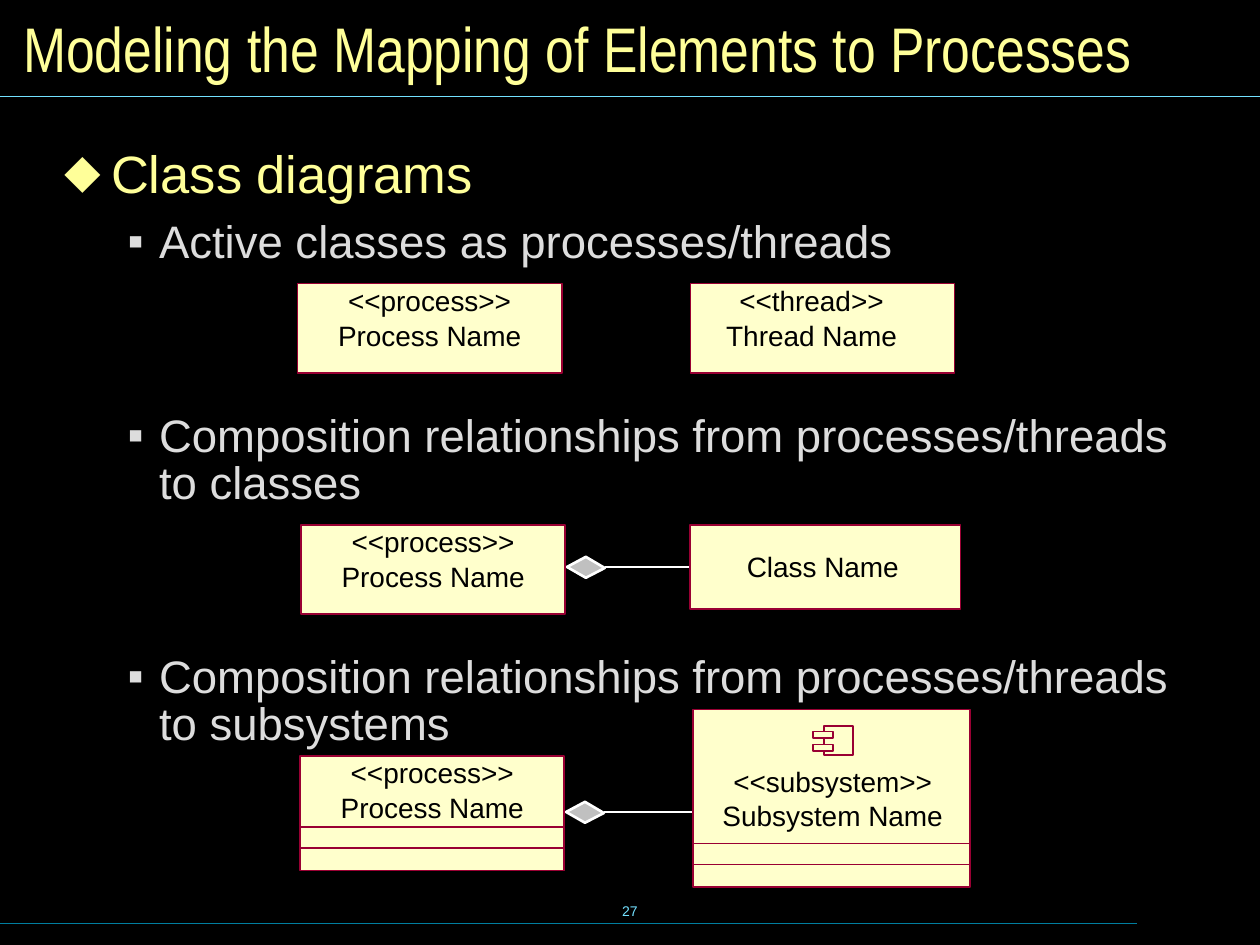
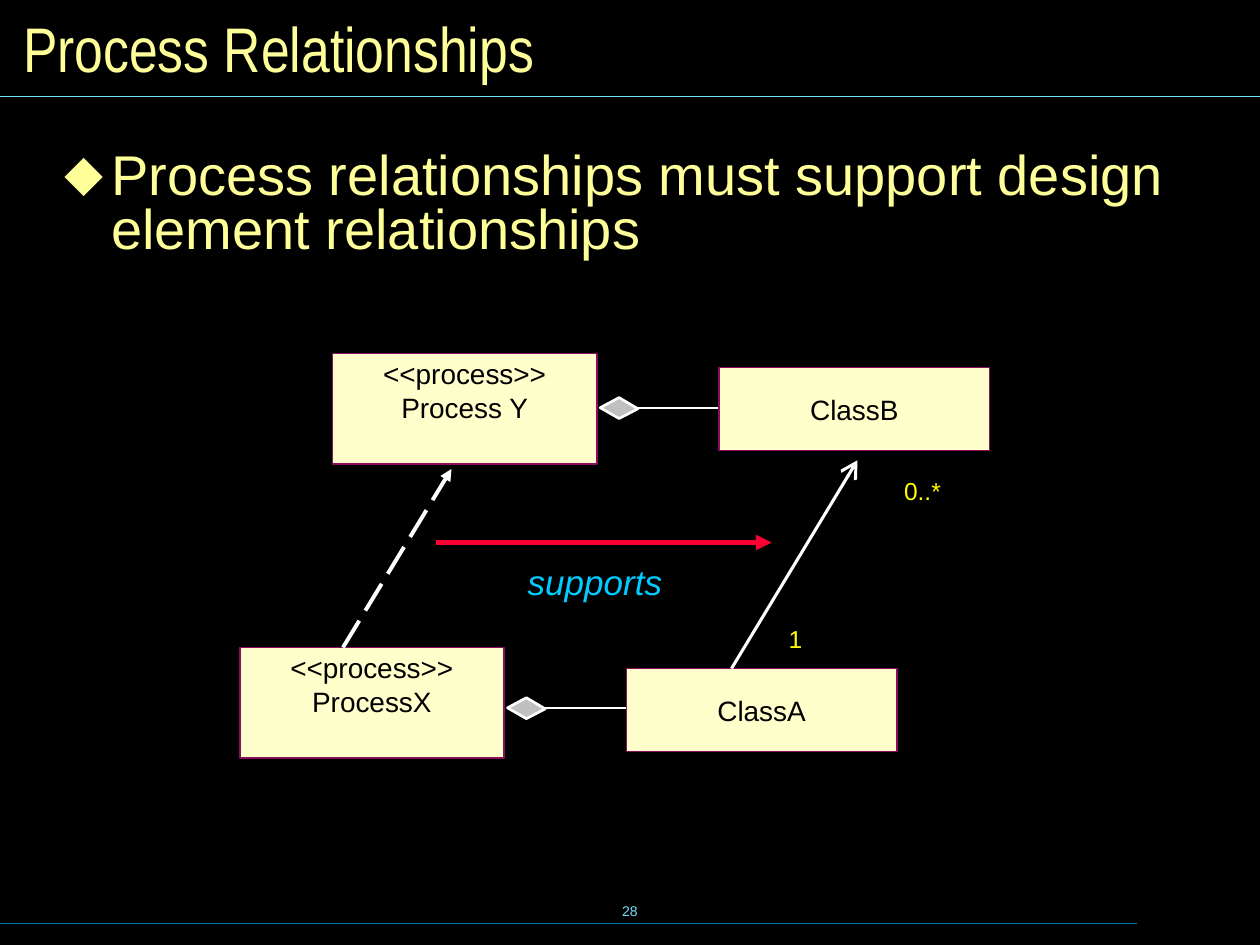
from dataclasses import dataclass

from pptx import Presentation
from pptx.dml.color import RGBColor
from pptx.enum import dml, shapes, text
from pptx.oxml.ns import qn
from pptx.util import Pt
from lxml import etree


@dataclass(frozen=True)
class Theme:
    back: str = "000000"
    title: str = "FFFF99"
    item: str = "DDDDDD"
    rule: str = "73E1FF"
    base: str = "007E9F"
    box: str = "FFFFCC"
    edge: str = "990033"
    plum: str = "8A0E5E"
    link: str = "FFFFFF"
    gem: str = "C0C0C0"
    mark: str = "FFFF00"
    note: str = "00CCFF"
    flow: str = "FF0033"
    ink: str = "000000"
    font: str = "Arial"
    narrow: str = "Arial Narrow"
    head_size: int = 36
    box_size: int = 16
    item_size: int = 26
    mark_size: int = 14
    note_size: int = 20
    page_size: int = 8


T = Theme()
LEFT, MID = text.PP_ALIGN.LEFT, text.PP_ALIGN.CENTER
TOP, HALF = text.MSO_ANCHOR.TOP, text.MSO_ANCHOR.MIDDLE


def rgb(code):
    return RGBColor.from_string(code)


def pts(values):
    return [Pt(v) for v in values]


# Text
def style(para, size, color, font=T.font, italic=False):
    para.font.size = Pt(size)
    para.font.name = font
    para.font.italic = italic
    para.font.color.rgb = rgb(color)


def write(shape, lines, size=T.box_size, color=T.ink, font=T.font, italic=False,
          align=MID, anchor=TOP, inset=(0, 0, 0, 0), gap=0, wrap=True):
    frame = shape.text_frame
    frame.word_wrap = wrap
    frame.auto_size = text.MSO_AUTO_SIZE.NONE
    frame.vertical_anchor = anchor
    (frame.margin_left, frame.margin_top,
     frame.margin_right, frame.margin_bottom) = pts(inset)
    for i, line in enumerate(lines):
        para = frame.paragraphs[0] if i == 0 else frame.add_paragraph()
        para.text = line
        para.alignment = align
        para.space_before = Pt(gap if i else 0)
        style(para, size, color, font, italic)


def label(slide, place, line, **form):
    write(slide.shapes.add_textbox(*pts(place)), [line], **form)


def bullet(para, sign, color, left, hang):
    props = para._p.get_or_add_pPr()
    props.set("marL", str(Pt(left)))
    props.set("indent", str(Pt(-hang)))
    tint = etree.SubElement(props, qn("a:buClr"))
    etree.SubElement(tint, qn("a:srgbClr"), val=color)
    etree.SubElement(props, qn("a:buFont"), typeface=T.font)
    etree.SubElement(props, qn("a:buChar"), char=sign)


def outline(slide, head, size, items=()):
    """Fill the body: one heading, then (text, space before) items."""
    body = slide.placeholders[1]
    body.left, body.top, body.width, body.height = pts((28.3, 83, 669, 397))
    write(body, [head] + [line for line, _ in items], size=size, color=T.title,
          align=LEFT, inset=(8.6, 4.3, 8.6, 4.3))
    first, *rest = body.text_frame.paragraphs
    bullet(first, "⬥", T.title, 26.6, 26.6)
    first.line_spacing = 0.8
    for para, (_, gap) in zip(rest, items):
        para.level = 1
        bullet(para, "▪", T.item, 54, 18)
        para.line_spacing = 0.87
        para.space_before = Pt(gap)
        style(para, T.item_size, T.item)


# Shapes
def paint(shape, fill, edge, width):
    shape.shadow.inherit = False
    shape.fill.solid()
    shape.fill.fore_color.rgb = rgb(fill)
    shape.line.color.rgb = rgb(edge)
    shape.line.width = Pt(width)


def box(slide, place, lines=(), edge=T.edge, **form):
    shape = slide.shapes.add_shape(shapes.MSO_SHAPE.RECTANGLE, *pts(place))
    paint(shape, T.box, edge, 1)
    if lines:
        write(shape, lines, wrap=False, **form)


def line(slide, start, end, color, width=1.0, dash=None, tip=None, span="med"):
    wire = slide.shapes.add_connector(
        shapes.MSO_CONNECTOR.STRAIGHT, *pts(start + end))
    wire.line.color.rgb = rgb(color)
    wire.line.width = Pt(width)
    if dash:
        wire.line.dash_style = dash
    props = wire._element.spPr
    if tip:
        etree.SubElement(props.find(qn("a:ln")), qn("a:tailEnd"),
                         type=tip, w=span, len=span)
    etree.SubElement(props, qn("a:effectLst"))


def rows(slide, place):
    """Draw the two compartment lines at the foot of a class box."""
    left, top, width, height = place
    for rise in (25, 13):
        y = top + height - rise
        line(slide, (left, y), (left + width, y), T.edge)


def compose(slide, left, y, right, width=1.0):
    """Draw a composition link: a diamond at the left, a line to the right."""
    line(slide, (left + 21.6, y), (right, y), T.link, width)
    gem = slide.shapes.build_freeform(Pt(left), Pt(y), scale=1)
    corners = [(10.8, -5.8), (21.6, 0.6), (10.8, 6.2)]
    gem.add_line_segments([pts((left + dx, y + dy)) for dx, dy in corners])
    paint(gem.convert_to_shape(), T.gem, T.link, 1.5)


def icon(slide, left, top):
    box(slide, (left + 6.5, top, 16.5, 16.5))
    for drop in (3, 10.5):
        box(slide, (left, top + drop, 11.5, 3.8))


# Shared frame
def start(deck, title, page):
    slide = deck.slides.add_slide(deck.slide_layouts[1])
    line(slide, (0, 527.8), (649.5, 527.8), T.base, 0.75)
    line(slide, (0, 55), (720, 55), T.rule, 0.75)
    label(slide, (246, 502.5, 228, 36), str(page), size=T.page_size,
          color=T.rule, anchor=HALF)
    head = slide.shapes.title
    head.left, head.top, head.width, head.height = pts((6, 6, 708, 42))
    write(head, [title], size=T.head_size, color=T.title, font=T.narrow,
          align=LEFT, anchor=HALF, inset=(7.2, 3.6, 7.2, 3.6))
    return slide


def mapping(deck):
    slide = start(deck, "Modeling the Mapping of Elements to Processes", 27)
    outline(slide, "Class diagrams", 30, [
        ("Active classes as processes/threads", 9.8),
        ("Composition relationships from processes/threads to classes", 83.6),
        ("Composition relationships from processes/threads to subsystems", 83.6),
    ])
    process = ["<<process>>", "Process Name"]

    # Active classes
    box(slide, (170, 162, 151, 51), process, gap=0.8)
    box(slide, (394.5, 162, 151, 51), ["<<thread>>", "Thread Name"],
        gap=0.8, inset=(0, 0, 12.5, 0))

    # Process to class
    compose(slide, 324, 324, 394.5)
    box(slide, (172, 300, 151, 51), process, gap=0.5)
    box(slide, (394.5, 300, 154.5, 48), ["Class Name"], anchor=HALF,
        inset=(0, 0, 3, 1))

    # Process to subsystem
    compose(slide, 323.5, 464, 396, 1.5)
    owner, part = (171.5, 432, 151, 65.5), (396.2, 405.5, 158.3, 101.5)
    box(slide, owner, process, gap=0.5)
    box(slide, part, ["<<subsystem>>", "Subsystem Name"], inset=(1, 31.5, 0, 0))
    for place in (owner, part):
        rows(slide, place)
    icon(slide, 464.5, 415)


def relations(deck):
    slide = start(deck, "Process Relationships", 28)
    outline(slide,
            "Process relationships must support design element relationships",
            32)

    # Each pair: process and its corner, class and its corner, link height
    pairs = [("Process Y", 190, 202, "ClassB", 411, 210, 233),
             ("ProcessX", 137, 370, "ClassA", 358, 382, 404.5)]
    for owner, x, y, part, left, top, mid in pairs:
        compose(slide, x + 153, mid, left)
        box(slide, (x, y, 151, 63), ["<<process>>", owner], edge=T.plum,
            gap=0.5, inset=(0, 1.7, 0, 0))
        box(slide, (left, top, 154.5, 47.5), [part], edge=T.plum, anchor=HALF)

    # Arrows and their labels
    line(slide, (418, 382), (490, 263), T.link, 1.75, tip="arrow", span="lg")
    line(slide, (196, 370), (258, 268), T.link, 2.25,
         dash=dml.MSO_LINE.LONG_DASH, tip="triangle")
    line(slide, (249, 310), (441, 310), T.flow, 3, tip="triangle")
    pad = (8.6, 4.3, 8.6, 4.3)
    for mark, x, y in (("0..*", 508, 268), ("1", 442, 352)):
        label(slide, (x, y, 60, 25), mark, size=T.mark_size, color=T.mark,
              align=LEFT, inset=pad)
    label(slide, (293, 316, 102, 32), "supports", size=T.note_size,
          color=T.note, italic=True, align=LEFT, inset=pad)


def main():
    deck = Presentation()
    deck.slide_width, deck.slide_height = pts((720, 540))
    back = deck.slide_master.background.fill
    back.solid()
    back.fore_color.rgb = rgb(T.back)
    mapping(deck)
    relations(deck)
    deck.save("out.pptx")


if __name__ == "__main__":
    main()
